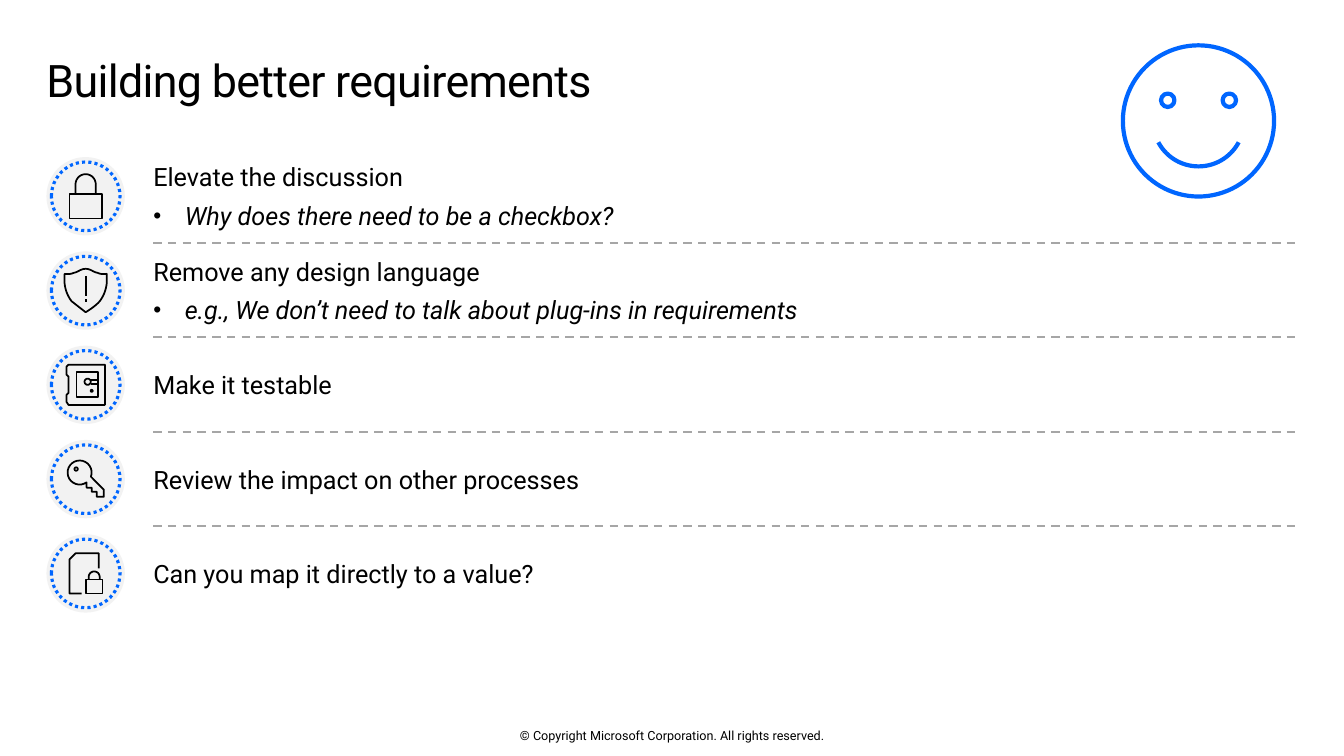
import math
from lxml import etree
from pptx import Presentation
from pptx import util as u
from pptx.dml.color import RGBColor
from pptx.enum import dml, shapes, text
from pptx.oxml import ns

COLORS = {"ink": "000000", "blue": "0066FF", "disc": "F2F2F2", "rule": "A6A6A6"}
FONT = "Roboto"
TITLE = "Building better requirements"
COPYRIGHT = "© Copyright Microsoft Corporation. All rights reserved."

# Stroke items: (x, y) point; (cx, cy, r, start, end) arc; (x1, y1, x2, y2, x, y) curve.
LOCK = [
    ([(11.5, -1.4), (11.5, 15.8), (-11.5, 15.8), (-11.5, -1.4)], True),
    ([(7.2, -1.4), (0, -8.6, 7.2, 360, 180), (-7.2, -1.4)], False),
]
SHIELD = [
    ([(-10.1, 7.6), (-15.1, 1.1, -15.1, -6.1, -15.1, -6.1), (-15.1, -11.9),
      (-15.1, -11.9, -11.5, -11.2, -8.6, -12.6), (-5, -13.3, -3.6, -15.5, 0, -15.5),
      (3.6, -15.5, 5, -13.3, 8.6, -12.6), (11.5, -11.2, 15.1, -11.9, 15.1, -11.9),
      (15.1, -6.1), (15.1, -6.1, 15.1, 1.1, 10.1, 7.6), (7.2, 11.2, 0, 15.5, 0, 15.5)], True),
    ([(0, -10.4), (0, 4)], False),
    ([(0, 6.1), (0, 8.3)], False),
]
SAFE = [
    ([(13.7, -14.4), (13.7, 14.4), (-12.2, 14.4), (-13.7, 12.2), (-13.7, 7.2), (-12.2, 5.8),
      (-12.2, -5.8), (-13.7, -7.2), (-13.7, -13), (-12.2, -14.4)], True),
    ([(8.6, -9.4), (-6.5, -9.4), (-6.5, 8.6), (8.6, 8.6)], True),
    ([(1.4, -2.2, 2.2, 0, 360)], True),
    ([(4.3, 4.3, 0.7, 0, 360)], True),
    ([(2.9, -3.6), (8.6, -3.6)], False),
    ([(3.6, -0.7), (8.6, -0.7)], False),
]
KEY = [
    ([(-4.3, -4.7, 8.6, 55, 380), (13, 7.6), (13, 12.6), (7.9, 12.6), (7.9, 9), (4.3, 9),
      (4.3, 6.1), (0.7, 6.1)], True),
    ([(-6.8, -7.2, 1.2, 0, 360)], True),
]
FILE = [
    ([(-2.9, 14.4), (-11.5, 14.4), (-11.5, -10.1), (-7.2, -14.4), (9.4, -14.4), (9.4, -3.6)], False),
    ([(12, 4.3), (0, 4.3), (0, 14.4), (12, 14.4)], True),
    ([(10, 4.3), (6.1, 2.5, 3.9, 360, 180), (2.2, 4.3)], False),
]
ROWS = [
    ("Elevate the discussion", "Why does there need to be a checkbox?", LOCK),
    ("Remove any design language", "e.g., We don’t need to talk about plug-ins in requirements", SHIELD),
    ("Make it testable", None, SAFE),
    ("Review the impact on other processes", None, KEY),
    ("Can you map it directly to a value?", None, FILE),
]

BADGE_X, FIRST_Y, PITCH = 61.2, 140.2, 67.35
TEXT_X, TEXT_WIDTH, TEXT_HEIGHT = 109.5, 818, 51
RULE_END, RULE_DROP = 926, 33.4
FACE_X, FACE_Y, FACE_RADIUS = 856.1, 86.4, 54


def color(name):
    return RGBColor.from_string(COLORS[name])


def write(paragraph, content, size=18, italic=False, align=text.PP_ALIGN.LEFT,
          before=0, leading=1.0, spacing=0, bullet=False):
    props = paragraph._p.get_or_add_pPr()
    props.set("marL", str(u.Pt(22.5 if bullet else 0)))
    props.set("indent", str(u.Pt(-22.5 if bullet else 0)))
    if bullet:
        etree.SubElement(props, ns.qn("a:buSzPct")).set("val", "90000")
        etree.SubElement(props, ns.qn("a:buFont")).set("typeface", "Arial")
        etree.SubElement(props, ns.qn("a:buChar")).set("char", "•")
    else:
        etree.SubElement(props, ns.qn("a:buNone"))
    paragraph.alignment = align
    paragraph.space_before = u.Pt(before)
    paragraph.line_spacing = leading
    span = paragraph.add_run()
    span.text = content
    span.font.name, span.font.size, span.font.italic = FONT, u.Pt(size), italic
    span.font.color.rgb = color("ink")
    if spacing:
        span._r.get_or_add_rPr().set("spc", str(int(spacing * 100)))


def place(box, left, top, width, height, insets=(0, 0, 0, 0), anchor=text.MSO_ANCHOR.MIDDLE):
    box.left, box.top, box.width, box.height = map(u.Pt, (left, top, width, height))
    frame = box.text_frame
    frame.auto_size, frame.word_wrap = text.MSO_AUTO_SIZE.NONE, True
    frame.vertical_anchor = anchor
    frame.margin_left, frame.margin_top, frame.margin_right, frame.margin_bottom = map(u.Pt, insets)
    return frame


def paint(shape, fill=None, line=None, weight=1.0, dash=None):
    shape.shadow.inherit = False
    if fill:
        shape.fill.solid()
        shape.fill.fore_color.rgb = color(fill)
    else:
        shape.fill.background()
    if line:
        shape.line.color.rgb, shape.line.width = color(line), u.Pt(weight)
        shape.line.dash_style = dash
    else:
        shape.line.fill.background()


def centred(target, kind, x, y, radius, **look):
    shape = target.add_shape(kind, *map(u.Pt, (x - radius, y - radius, 2 * radius, 2 * radius)))
    paint(shape, **look)
    return shape


def trace(stroke):
    points = []
    for item in stroke:
        if len(item) == 2:
            points.append(item)
        elif len(item) == 5:
            cx, cy, radius, start, end = item
            for step in range(25):
                angle = math.radians(start + (end - start) * step / 24)
                points.append((cx + radius * math.cos(angle), cy + radius * math.sin(angle)))
        else:
            x0, y0 = points[-1]
            x1, y1, x2, y2, x3, y3 = item
            for t in (step / 10 for step in range(1, 11)):
                a, b, c, d = (1 - t) ** 3, 3 * t * (1 - t) ** 2, 3 * t * t * (1 - t), t ** 3
                points.append((a * x0 + b * x1 + c * x2 + d * x3, a * y0 + b * y1 + c * y2 + d * y3))
    return points


def draw_icon(target, strokes, x, y):
    builder = None
    for stroke, closed in strokes:
        points = [(u.Pt(x + px), u.Pt(y + py)) for px, py in trace(stroke)]
        if builder is None:
            builder = target.build_freeform(*points[0], scale=1.0)
        else:
            builder.move_to(*points[0])
        builder.add_line_segments(points[1:], close=closed)
    paint(builder.convert_to_shape(), line="ink", weight=1.25)


def draw_rule(page, y):
    rule = page.shapes.add_connector(shapes.MSO_CONNECTOR.STRAIGHT,
                                     *map(u.Pt, (TEXT_X, y, RULE_END, y)))
    rule.line.color.rgb, rule.line.width = color("rule"), u.Pt(1.5)
    rule.line.dash_style = dml.MSO_LINE.DASH
    etree.SubElement(rule._element.spPr, ns.qn("a:effectLst"))


def draw_face(page):
    face = page.shapes.add_group_shape().shapes
    look = {"line": "blue", "weight": 3}
    oval = shapes.MSO_SHAPE.OVAL
    centred(face, oval, FACE_X, FACE_Y, FACE_RADIUS, **look)
    for side in (-1, 1):
        centred(face, oval, FACE_X + side * 22, FACE_Y - 14.8, 4.8, **look)
    smile = centred(face, shapes.MSO_SHAPE.ARC, FACE_X, FACE_Y, 32.5, **look)
    smile.adjustments[0], smile.adjustments[1] = 28 * 0.6, 152 * 0.6


def main():
    deck = Presentation()
    deck.slide_width, deck.slide_height = u.Pt(960), u.Pt(540)
    layout = deck.slide_layouts[1]
    page = deck.slides.add_slide(layout)
    for _ in ROWS[1:]:
        page.shapes.clone_placeholder(layout.placeholders[1])

    frame = place(page.shapes.title, 33.1, 34.6, 893, 53, (0, 7.2, 11.5, 7.2), text.MSO_ANCHOR.TOP)
    write(frame.paragraphs[0], TITLE, size=32, leading=0.9, spacing=-0.5)

    bodies = list(page.placeholders)[1:]
    for index, (body, (heading, detail, icon)) in enumerate(zip(bodies, ROWS)):
        y = FIRST_Y + index * PITCH
        frame = place(body, TEXT_X, y - TEXT_HEIGHT / 2, TEXT_WIDTH, TEXT_HEIGHT)
        write(frame.paragraphs[0], heading)
        if detail:
            write(frame.add_paragraph(), detail, italic=True, before=6, bullet=True)
        badge = page.shapes.add_group_shape().shapes
        centred(badge, shapes.MSO_SHAPE.OVAL, BADGE_X, y, 28, fill="disc")
        centred(badge, shapes.MSO_SHAPE.OVAL, BADGE_X, y, 24.5, line="blue", weight=2.25,
                dash=dml.MSO_LINE.ROUND_DOT)
        draw_icon(badge, icon, BADGE_X, y)
        if index < len(ROWS) - 1:
            draw_rule(page, y + RULE_DROP)

    draw_face(page)
    box = page.shapes.add_textbox(0, 0, 0, 0)
    frame = place(box, 318, 520, 324, 11)
    write(frame.paragraphs[0], COPYRIGHT, size=9, align=text.PP_ALIGN.CENTER)
    deck.save("out.pptx")


if __name__ == "__main__":
    main()
